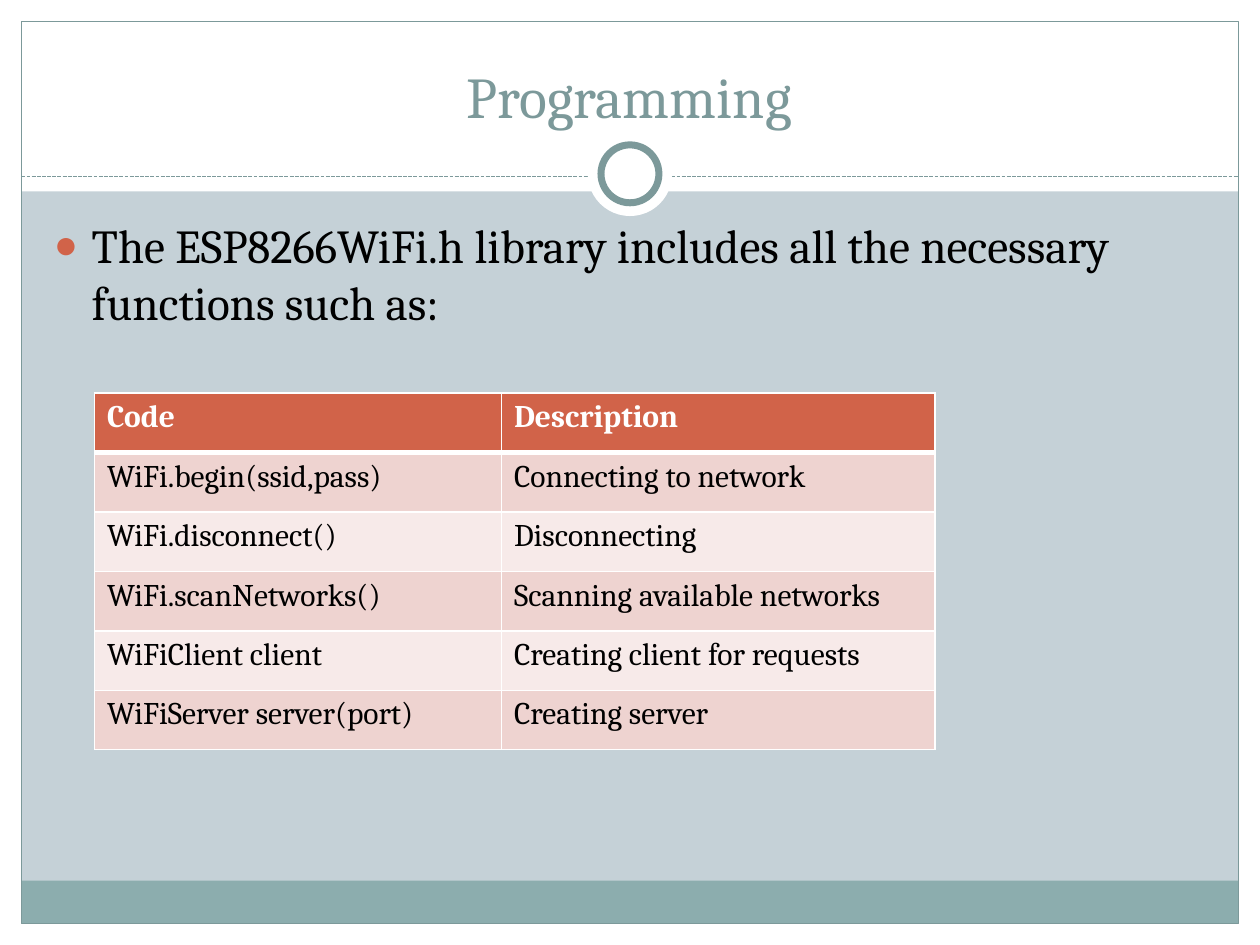
from lxml.etree import SubElement, Element
from pptx import Presentation
from pptx.dml.color import RGBColor
from pptx.enum.dml import MSO_LINE
from pptx.enum.shapes import MSO_CONNECTOR, MSO_SHAPE
from pptx.enum.text import MSO_ANCHOR, PP_ALIGN
from pptx.oxml.ns import qn
from pptx.util import Inches, Pt

WHITE, TEAL, ORANGE, BLACK = "FFFFFF", "7C999A", "D16349", "000000"
FONT = "Cambria"
WIDTH, HEIGHT, MARGIN = 10, 7.5, 0.17


def color(hex_string):
    return RGBColor.from_string(hex_string)


def add_box(kind, left, top, width, height, fill=None, line=None, weight=0.75):
    box = page.shapes.add_shape(kind, Inches(left), Inches(top), Inches(width), Inches(height))
    box.shadow.inherit = False
    if fill:
        box.fill.solid()
        box.fill.fore_color.rgb = color(fill)
    else:
        box.fill.background()
    if line:
        box.line.color.rgb = color(line)
        box.line.width = Pt(weight)
    else:
        box.line.fill.background()


deck = Presentation()
deck.slide_width, deck.slide_height = Inches(WIDTH), Inches(HEIGHT)
page = deck.slides.add_slide(deck.slide_layouts[6])
page.background.fill.solid()
page.background.fill.fore_color.rgb = color("C5D1D7")

# White margins, header, footer band and frame
inner_width, inner_height = WIDTH - 2 * MARGIN, HEIGHT - 2 * MARGIN
for left, top, width, height, fill in [
    (0, HEIGHT - MARGIN, WIDTH, MARGIN, WHITE),
    (0, 0, WIDTH, 1.52, WHITE),
    (0, 0, MARGIN, HEIGHT, WHITE),
    (WIDTH - MARGIN, 0, MARGIN, HEIGHT, WHITE),
    (MARGIN, 6.99, inner_width, 0.34, "8CADAE"),
]:
    add_box(MSO_SHAPE.RECTANGLE, left, top, width, height, fill)
add_box(MSO_SHAPE.RECTANGLE, MARGIN, MARGIN, inner_width, inner_height, line=TEAL)

# Dashed divider with a ring at its middle
divider = page.shapes.add_connector(
    MSO_CONNECTOR.STRAIGHT, Inches(MARGIN), Inches(1.4), Inches(WIDTH - MARGIN), Inches(1.4))
divider.line.color.rgb = color(TEAL)
divider.line.width = Pt(0.75)
divider.line.dash_style = MSO_LINE.SQUARE_DOT
SubElement(divider._element.spPr, qn("a:effectLst"))
for size, line in [(0.67, None), (0.46, TEAL)]:
    add_box(MSO_SHAPE.OVAL, (WIDTH - size) / 2, 1.38 - size / 2, size, size, WHITE, line, 4)

# Title and bullet text
paras = []
for text, top, width, height, anchor, size, ink in [
    ("Programming", 0.25, 9.33, 0.83, MSO_ANCHOR.BOTTOM, 33, TEAL),
    ("The ESP8266WiFi.h library includes all the necessary functions such as:",
     1.67, 9.3, 5, MSO_ANCHOR.TOP, 27, BLACK),
]:
    frame = page.shapes.add_textbox(
        Inches(0.33), Inches(top), Inches(width), Inches(height)).text_frame
    frame.word_wrap = True
    frame.vertical_anchor = anchor
    para = frame.paragraphs[0]
    para.text = text
    para.font.name, para.font.size = FONT, Pt(size)
    para.font.color.rgb = color(ink)
    paras.append(para)

title, bullet = paras
title.alignment = PP_ALIGN.CENTER
bullet.space_before = Pt(5.4)
properties = bullet._p.get_or_add_pPr()
properties.set("marL", str(Inches(0.3)))
properties.set("indent", str(-Inches(0.3)))
marks = [Element(qn("a:buClr")), Element(qn("a:buSzPct"), val="85000"),
         Element(qn("a:buFont"), typeface="Arial"), Element(qn("a:buChar"), char="●")]
SubElement(marks[0], qn("a:srgbClr"), val=ORANGE)
run_defaults = properties.find(qn("a:defRPr"))
for mark in marks:
    run_defaults.addprevious(mark)

# Table of functions
rows = [
    ("Code", "Description"),
    ("WiFi.begin(ssid,pass)", "Connecting to network"),
    ("WiFi.disconnect()", "Disconnecting"),
    ("WiFi.scanNetworks()", "Scanning available networks"),
    ("WiFiClient client", "Creating client for requests"),
    ("WiFiServer server(port)", "Creating server"),
]
table = page.shapes.add_table(
    len(rows), 2, Inches(0.75), Inches(3.12), Inches(6.67), Inches(2.83)).table
for column, width in zip(table.columns, (3.23, 3.44)):
    column.width = Inches(width)

for r, texts in enumerate(rows):
    header = r == 0
    for c, text in enumerate(texts):
        cell = table.cell(r, c)
        cell.fill.solid()
        cell.fill.fore_color.rgb = color(ORANGE if header else ("F7EAE9", "EED3D0")[r % 2])
        para = cell.text_frame.paragraphs[0]
        para.text = text
        para.font.name, para.font.size, para.font.bold = FONT, Pt(18), header
        para.font.color.rgb = color(WHITE if header else BLACK)
        cell_properties = cell._tc.get_or_add_tcPr()
        for index, side in enumerate("LRTB"):
            thick = (header and side == "B") or (r == 1 and side == "T")
            border = Element(qn("a:ln" + side), w=str(Pt(3 if thick else 1)))
            fill = SubElement(border, qn("a:solidFill"))
            SubElement(fill, qn("a:srgbClr"), val=WHITE)
            cell_properties.insert(index, border)

deck.save("out.pptx")
